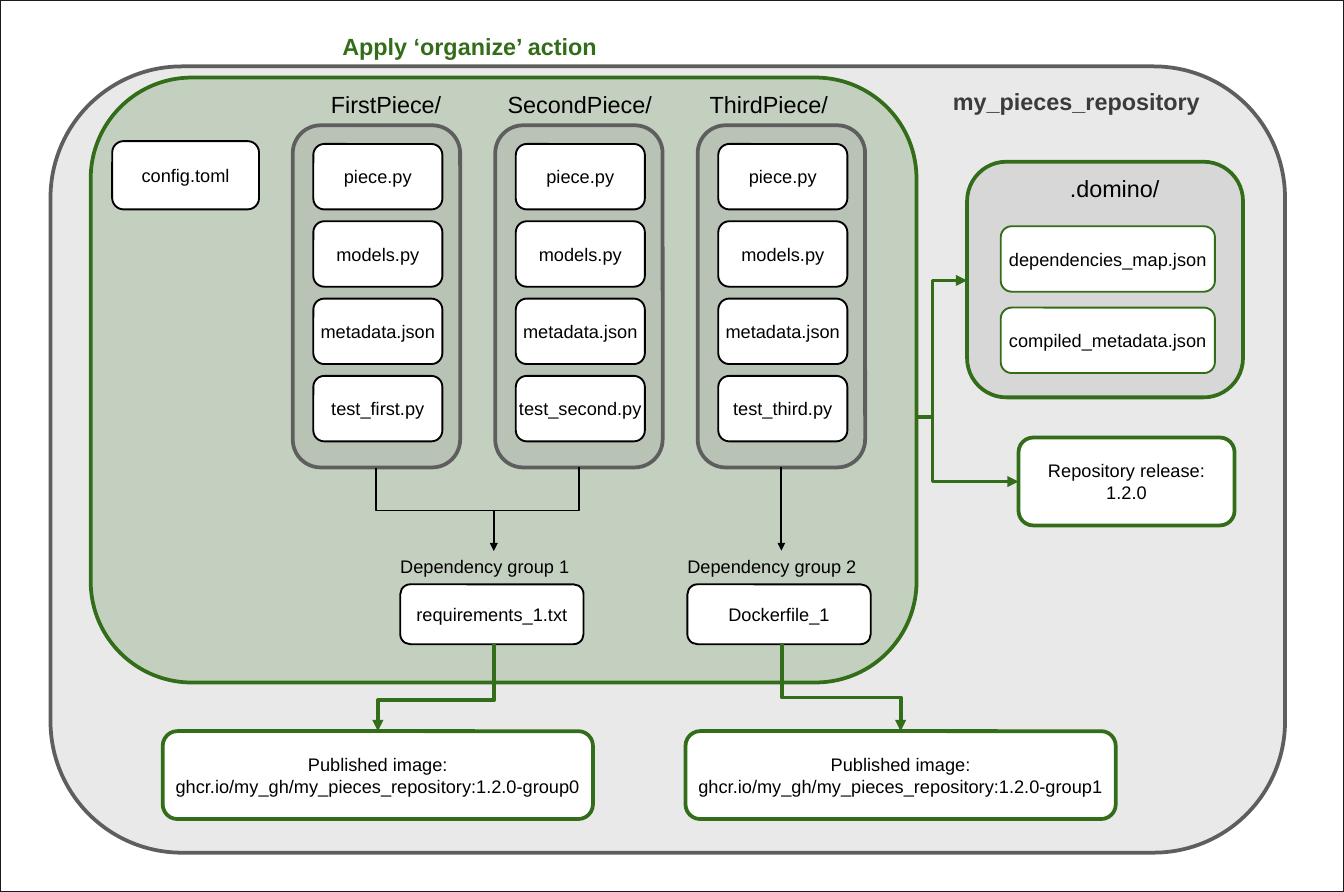
"""Draw how the organize action turns a pieces repository into published images."""
from dataclasses import dataclass
from typing import Optional

from pptx import Presentation
from pptx.dml.color import RGBColor
from pptx.enum.shapes import MSO_CONNECTOR, MSO_SHAPE
from pptx.enum.text import MSO_ANCHOR, MSO_AUTO_SIZE, PP_ALIGN
from pptx.oxml import parse_xml
from pptx.oxml.ns import nsdecls, qn
from pptx.util import Inches, Pt

CELL = 0.1
WIDE, HIGH = 143.7, 95.4
THIN, THICK = 1.45, 2.89
HUES = {
    "black": "000000", "white": "FFFFFF", "green": "336D1A", "grey": "919191",
    "edge": "5E5E5E", "frame": "1B1B1B", "name": "3B3B3B",
}


@dataclass(frozen=True)
class Box:
    """A rounded box, placed in grid columns and rows."""
    col: float
    row: float
    wide: float
    high: float
    text: str = ""
    line: str = "black"
    width: float = THIN
    fill: str = "white"
    alpha: int = 100


@dataclass(frozen=True)
class Label:
    """A line of free text, placed in grid columns and rows."""
    text: str
    col: float
    row: float
    wide: float
    size: int = 18
    ink: str = "black"
    bold: bool = False


@dataclass(frozen=True)
class Arrow:
    """An arrow from start to end that turns at the given row or column."""
    start: tuple[float, float]
    end: tuple[float, float]
    turn: Optional[float] = None
    down: bool = True
    line: str = "green"
    width: float = THICK
    head: bool = True


@dataclass(frozen=True)
class Piece:
    """A folder of a piece: heading, heading column and test file."""
    name: str
    col: float
    test: str


def cells(count: float) -> int:
    """Turn grid cells into a length."""
    return Inches(count * CELL)


def tint(hue: str) -> RGBColor:
    """Look up a colour by name."""
    return RGBColor.from_string(HUES[hue])


def write(frame, text: str, *, size: int = 14, ink: str = "black", bold: bool = False,
          align=PP_ALIGN.LEFT, anchor=MSO_ANCHOR.TOP, wrap: bool = True) -> None:
    """Put formatted text into a frame."""
    frame.text = text
    frame.word_wrap = wrap
    frame.auto_size = MSO_AUTO_SIZE.NONE
    frame.vertical_anchor = anchor
    for para in frame.paragraphs:
        para.alignment = align
        para.font.name = "Arial"
        para.font.size = Pt(size)
        para.font.bold = bold
        para.font.color.rgb = tint(ink)


def place(shape, label: Label) -> None:
    """Move a text shape to its label's place and fill it."""
    shape.left, shape.top = cells(label.col), cells(label.row)
    shape.width, shape.height = cells(label.wide), cells(3.8)
    write(shape.text_frame, label.text, size=label.size, ink=label.ink, bold=label.bold)


def draw_box(shapes, box: Box) -> None:
    """Draw one rounded box with its centred text."""
    shape = shapes.add_shape(MSO_SHAPE.ROUNDED_RECTANGLE, cells(box.col), cells(box.row),
                             cells(box.wide), cells(box.high))
    shape.shadow.inherit = False
    shape.adjustments[0] = 0.167
    shape.fill.solid()
    shape.fill.fore_color.rgb = tint(box.fill)
    if box.alpha < 100:
        color = shape.fill._xPr.find(qn("a:solidFill"))[0]
        color.append(parse_xml(f'<a:alpha {nsdecls("a")} val="{box.alpha * 1000}"/>'))
    shape.line.color.rgb = tint(box.line)
    shape.line.width = Pt(box.width)
    if box.text:
        write(shape.text_frame, box.text, align=PP_ALIGN.CENTER,
              anchor=MSO_ANCHOR.MIDDLE, wrap=False)


def draw_arrow(shapes, arrow: Arrow) -> None:
    """Draw a straight or a twice-bent arrow."""
    (x1, y1), (x2, y2) = arrow.start, arrow.end
    bent = arrow.turn is not None
    turned = bent and arrow.down
    share = 0.0
    if bent:
        share = (arrow.turn - y1) / (y2 - y1) if turned else (arrow.turn - x1) / (x2 - x1)
    if turned:
        mid_x, mid_y = (x1 + x2) / 2, (y1 + y2) / 2
        half_x, half_y = (x2 - x1) / 2, (y2 - y1) / 2
        x1, x2 = mid_x - half_y, mid_x + half_y
        y1, y2 = mid_y + half_x, mid_y - half_x
    kind = MSO_CONNECTOR.ELBOW if bent else MSO_CONNECTOR.STRAIGHT
    link = shapes.add_connector(kind, cells(x1), cells(y1), cells(x2), cells(y2))
    link.line.color.rgb = tint(arrow.line)
    link.line.width = Pt(arrow.width)
    props = link._element.spPr
    if turned:
        props.find(qn("a:xfrm")).set("rot", "5400000")
    if bent:
        guide = f'<a:gd {nsdecls("a")} name="adj1" fmla="val {round(share * 100000)}"/>'
        props.find(qn("a:prstGeom")).find(qn("a:avLst")).append(parse_xml(guide))
    if arrow.head:
        tail = f'<a:tailEnd {nsdecls("a")} type="triangle"/>'
        props.find(qn("a:ln")).append(parse_xml(tail))
    props.append(parse_xml(f'<a:effectLst {nsdecls("a")}/>'))


def draw_frame(shapes) -> None:
    """Draw the thin frame around the slide."""
    frame = shapes.add_shape(MSO_SHAPE.RECTANGLE, 0, 0, cells(WIDE), cells(HIGH))
    frame.shadow.inherit = False
    frame.fill.background()
    frame.line.color.rgb = tint("frame")
    frame.line.width = Pt(THIN)


def panel(col: float, row: float, wide: float, high: float, line: str,
          fill: str = "grey") -> Box:
    """Describe a see-through panel."""
    return Box(col, row, wide, high, line=line, width=THICK, fill=fill, alpha=20)


TITLE = Label("Apply ‘organize’ action", 35.6, 2.9, 31, ink="green", bold=True)
PIECES = [Piece("FirstPiece/", 34.4, "test_first.py"),
          Piece("SecondPiece/", 53.3, "test_second.py"),
          Piece("ThirdPiece/", 74.9, "test_third.py")]
FILES = ["piece.py", "models.py", "metadata.json"]
LEFT, STEP = 31.3, 21.65
MIDS = [LEFT + STEP * n + 8.95 for n in range(len(PIECES))]
GROUPS = [("requirements_1.txt", 42.8, 17.4), ("Dockerfile_1", 73.5, 73.3)]

BOXES = [panel(5.4, 7.1, 132, 84.1, "edge"),
         panel(9.7, 8.3, 88.3, 64.7, "green", "green"),
         panel(103.4, 17.3, 29.5, 25.2, "green"),
         Box(12, 15.1, 15.7, 7.3, "config.toml"),
         Box(108.9, 46.8, 23.1, 9.4, "Repository release:\n1.2.0", "green", THICK)]
LABELS = [Label(".domino/", 113.4, 18.1, 14),
          Label("my_pieces_repository", 100.9, 8.8, 29.5, ink="name", bold=True)]
for n, piece in enumerate(PIECES):
    BOXES.append(panel(LEFT + STEP * n, 13.4, 17.9, 36.6, "edge"))
    BOXES += [Box(LEFT + STEP * n + 2.2, 15.4 + 8.27 * k, 13.8, 7, name)
              for k, name in enumerate(FILES + [piece.test])]
    LABELS.append(Label(piece.name, piece.col, 9.1, 21))
for n, name in enumerate(["dependencies_map.json", "compiled_metadata.json"]):
    BOXES.append(Box(107, 24.2 + 8.7 * n, 22.9, 7, name, "green"))
for n, (name, col, left) in enumerate(GROUPS):
    image = f"Published image:\nghcr.io/my_gh/my_pieces_repository:1.2.0-group{n}"
    BOXES += [Box(col, 62.5, 19.6, 6.4, name),
              Box(left, 78.2, 46, 9.4, image, "green", THICK)]
    LABELS.append(Label(f"Dependency group {n + 1}", col - 1, 58.9, 22.2, 14))

ARROWS = [Arrow((MIDS[0], 50), (52.8, 58.9), 54.6, line="black", width=THIN),
          Arrow((MIDS[1], 50), (52.8, 58.9), 54.6, line="black", width=THIN),
          Arrow((MIDS[2], 50), (MIDS[2], 58.9), line="black", width=THIN),
          Arrow((52.8, 68.9), (40.4, 78.2), 74.9),
          Arrow((83.6, 68.9), (96.3, 78.2), 74.6),
          Arrow((98, 44.6), (103.4, 30), 99.7, down=False),
          Arrow((98, 44.6), (108.9, 51.5), 99.7, down=False)]


def main() -> None:
    """Build and save the slide."""
    deck = Presentation()
    deck.slide_width, deck.slide_height = cells(WIDE), cells(HIGH)
    shapes = deck.slides.add_slide(deck.slide_layouts[5]).shapes
    place(shapes.title, TITLE)
    draw_frame(shapes)
    for box in BOXES:
        draw_box(shapes, box)
    for label in LABELS:
        place(shapes.add_textbox(0, 0, 0, 0), label)
    for arrow in ARROWS:
        draw_arrow(shapes, arrow)
    deck.save("out.pptx")


if __name__ == "__main__":
    main()
